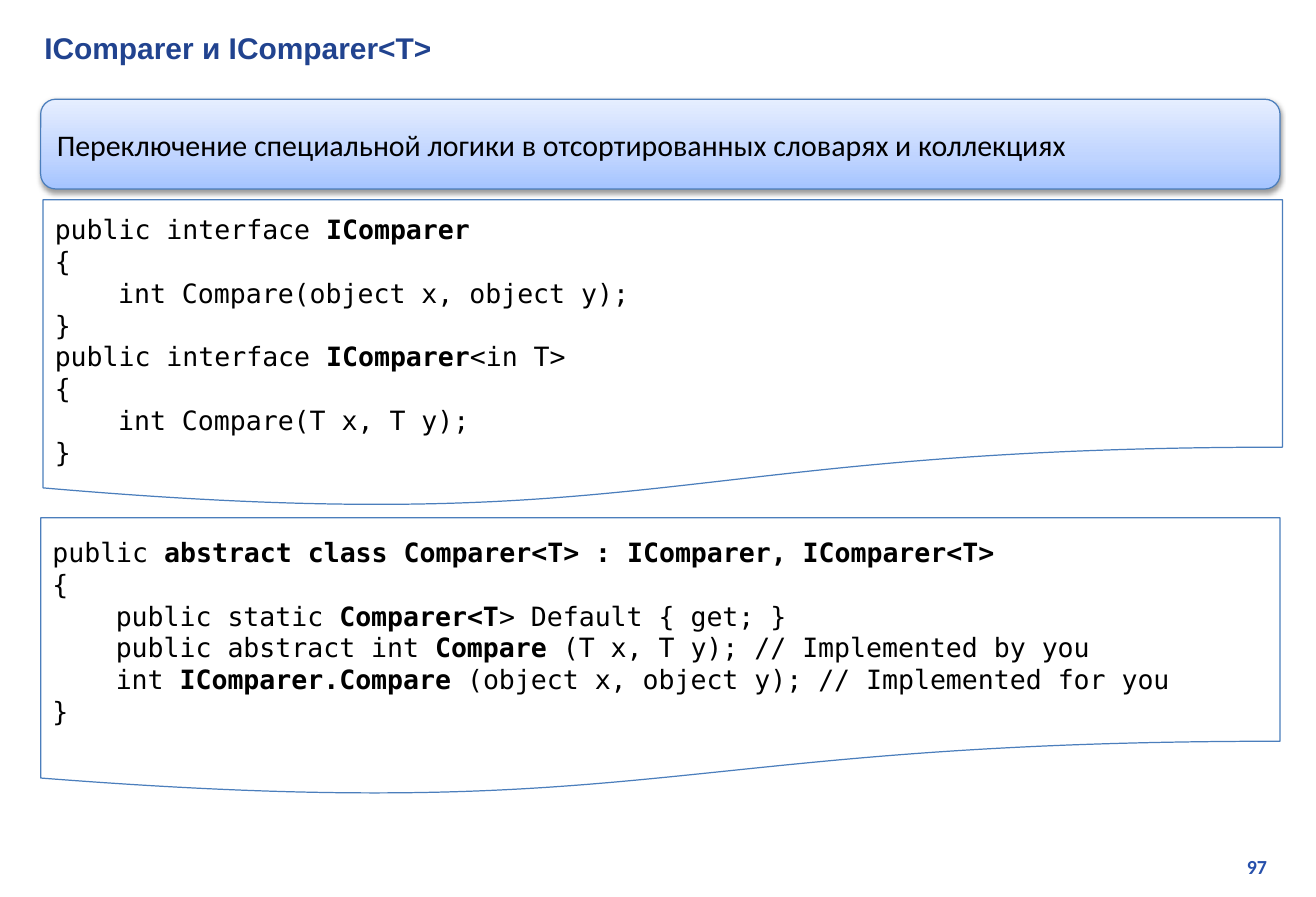
from lxml.etree import SubElement
from pptx import Presentation
from pptx.dml.color import RGBColor
from pptx.enum.shapes import MSO_SHAPE
from pptx.enum.text import MSO_ANCHOR, PP_ALIGN
from pptx.oxml import parse_xml
from pptx.oxml.ns import nsdecls, qn
from pptx.util import Pt

PX = 9144  # 100 px to the inch


def px(*values):
    return [value * PX for value in values]


def color(hex_value):
    return RGBColor.from_string(hex_value)


class Deck:
    BLUE, NUMBER, EDGE, INK, PAPER = "21438F", "2750AB", "4B7EBC", "000000", "FFFFFF"
    BANNER_STOPS = [(0, "A4C4FF"), (35, "BFD4FF"), (100, "E6EEFF")]
    CODE_INDENT = 53  # four characters of code

    def __init__(self, width, height):
        self.prs = Presentation()
        self.prs.slide_width, self.prs.slide_height = px(width, height)
        self.s = self.prs.slides.add_slide(self.prs.slide_layouts[5])

    def font(self, p, name, size, hex_value, bold=None):
        p.font.name, p.font.size, p.font.bold = name, Pt(size), bold
        p.font.color.rgb = color(hex_value)

    def title(self, text, *box):
        sp = self.s.shapes.title
        sp.left, sp.top, sp.width, sp.height = px(*box)
        tf = sp.text_frame
        tf.text = text
        tf.vertical_anchor = MSO_ANCHOR.MIDDLE
        p = tf.paragraphs[0]
        p.alignment = PP_ALIGN.LEFT
        self.font(p, "Arial", 18, self.BLUE, True)

    def page_number(self, text, *box):
        tf = self.s.shapes.add_textbox(*px(*box)).text_frame
        tf.word_wrap = True
        p = tf.paragraphs[0]
        p.text, p.alignment = text, PP_ALIGN.RIGHT
        self.font(p, "Calibri", 12, self.NUMBER, True)

    def shape(self, kind, box):
        sp = self.s.shapes.add_shape(kind, *px(*box))
        sp.shadow.inherit = False
        sp.fill.solid()
        sp.fill.fore_color.rgb = color(self.PAPER)
        sp.line.color.rgb = color(self.EDGE)
        sp.line.width = Pt(0.75)
        sp.text_frame.word_wrap = True
        return sp

    def banner(self, text, *box):
        sp = self.shape(MSO_SHAPE.ROUNDED_RECTANGLE, box)
        # Three-stop gradient, running upwards
        stops = "".join(f'<a:gs pos="{pos * 1000}"><a:srgbClr val="{c}"/></a:gs>'
                        for pos, c in self.BANNER_STOPS)
        spPr = sp._element.spPr
        solid = spPr.find(qn("a:solidFill"))
        spPr.replace(solid, parse_xml(
            f'<a:gradFill {nsdecls("a")} rotWithShape="1"><a:gsLst>{stops}</a:gsLst>'
            '<a:lin ang="16200000" scaled="0"/></a:gradFill>'))
        # Soft shadow below
        shadow = SubElement(spPr.find(qn("a:effectLst")), qn("a:outerShdw"),
                            blurRad="40000", dist="20000", dir="5400000", rotWithShape="0")
        black = SubElement(shadow, qn("a:srgbClr"), val=self.INK)
        SubElement(black, qn("a:alpha"), val="38000")
        p = sp.text_frame.paragraphs[0]
        p.text, p.alignment, p.space_after = text, PP_ALIGN.JUSTIFY, Pt(10)
        self.font(p, "Calibri", 18, self.INK)

    def code(self, lines, inset, *box):
        """Each line is (level, plain, bold, plain, ...)."""
        tf = self.shape(MSO_SHAPE.FLOWCHART_DOCUMENT, box).text_frame
        tf.vertical_anchor = MSO_ANCHOR.TOP
        tf.margin_top = inset * PX
        for i, (level, *parts) in enumerate(lines):
            p = tf.add_paragraph() if i else tf.paragraphs[0]
            p.alignment = PP_ALIGN.LEFT
            p._p.get_or_add_pPr().set("marL", str(level * self.CODE_INDENT * PX))
            self.font(p, "DejaVu Sans Mono", 16, self.INK)
            for j, part in enumerate(parts):
                r = p.add_run()
                r.text = part
                if j % 2:
                    r.font.bold = True


def main():
    deck = Deck(1100, 750)
    deck.page_number("97", 836, 710, 233, 30)
    deck.title("IComparer и IComparer<T>", 27, 20, 1050, 40)

    # Interfaces
    deck.code([
        (0, "public interface ", "IComparer"),
        (0, "{"),
        (1, "int Compare(object x, object y);"),
        (0, "}"),
        (0, "public interface ", "IComparer", "<in T>"),
        (0, "{"),
        (1, "int Compare(T x, T y);"),
        (0, "}"),
    ], 11, 36, 167, 1036, 258)

    # Purpose
    deck.banner("Переключение специальной логики в отсортированных словарях и коллекциях",
                34, 83, 1036, 75)

    # Base class
    deck.code([
        (0, "public ", "abstract class Comparer<T> : IComparer, IComparer<T>"),
        (0, "{"),
        (1, "public static ", "Comparer<T", "> Default { get; }"),
        (1, "public abstract int ", "Compare", " (T x, T y); // Implemented by you"),
        (1, "int ", "IComparer.Compare", " (object x, object y); // Implemented for you"),
        (0, "}"),
    ], 15, 34, 433, 1036, 233)

    deck.prs.save("out.pptx")


if __name__ == "__main__":
    main()
